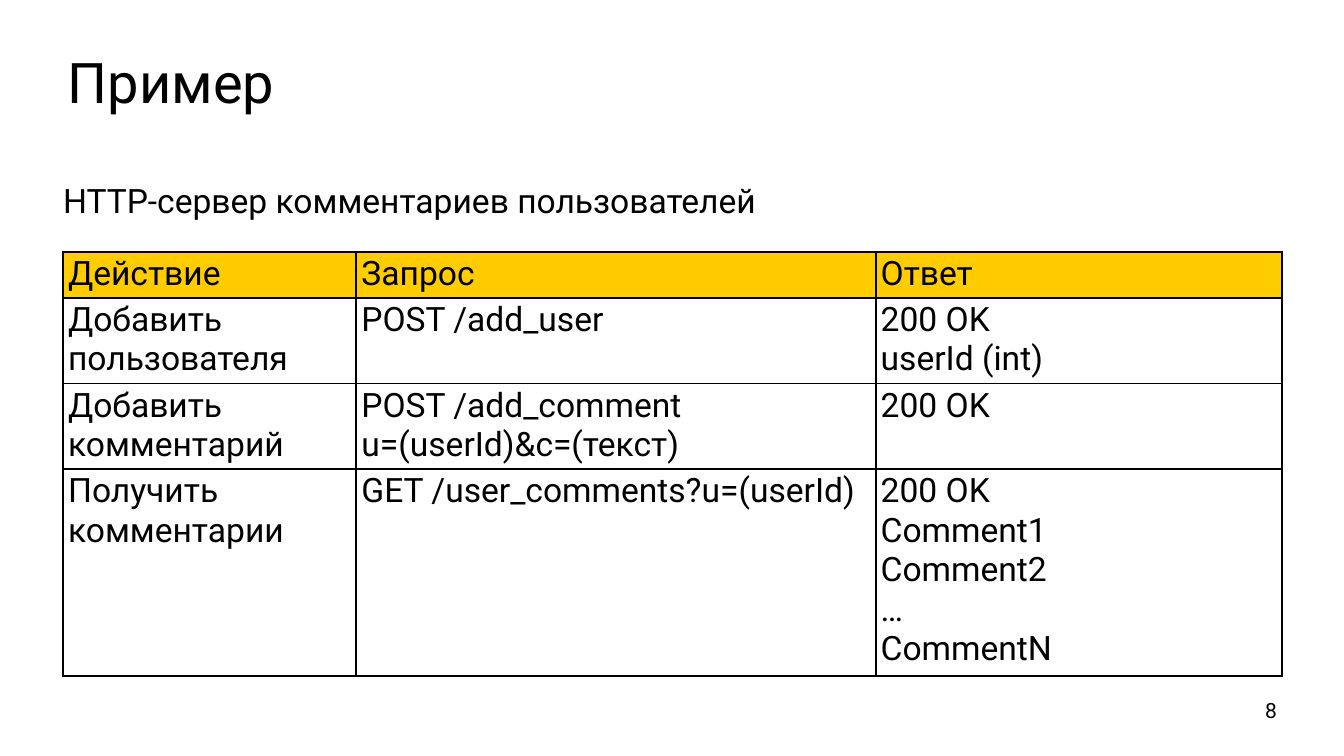
from dataclasses import dataclass

from lxml import etree
from pptx import Presentation
from pptx import util as u
from pptx.dml.color import RGBColor
from pptx.enum import text
from pptx.oxml import ns

SCALE = 9144  # EMU in one px, 100 px to the inch
FONT = "Roboto"
HEX = {"ink": "000000", "head": "FFCC00", "cell": "FFFFFF"}


@dataclass
class Label:
    words: str
    box: tuple[int, int, int, int]
    size: int
    pitch: int | None = None
    gap: int = 0
    left: int = 10
    anchor: text.MSO_ANCHOR = text.MSO_ANCHOR.TOP
    align: text.PP_ALIGN = text.PP_ALIGN.LEFT


LABELS = [
    Label("Пример", (125, 83, 2420, 165), 80, pitch=100),
    Label("HTTP-сервер комментариев пользователей", (125, 333, 1959, 124), 48,
          pitch=60, gap=30, left=0, anchor=text.MSO_ANCHOR.MIDDLE),
    Label("8", (2418, 1388, 125, 42), 30,
          anchor=text.MSO_ANCHOR.MIDDLE, align=text.PP_ALIGN.RIGHT),
]

# Each cell is a list of paragraphs
COLS = [582, 1030, 806]
ROWS = [91, 170, 170, 404]
CELLS = [
    [["Действие"], ["Запрос"], ["Ответ"]],
    [["Добавить пользователя"], ["POST /add_user"],
     ["200 OK", "userId (int)"]],
    [["Добавить комментарий"],
     ["POST /add_comment", "u=(userId)&c=(текст)"], ["200 OK"]],
    [["Получить комментарии"], ["GET /user_comments?u=(userId)"],
     ["200 OK", "Comment1", "Comment2", "…", "CommentN"]],
]


def px(n: int) -> u.Emu:
    return u.Emu(n * SCALE)


def color(name: str) -> RGBColor:
    return RGBColor.from_string(HEX[name])


def add_run(para, words: str, size: int) -> None:
    run = para.add_run()
    run.text = words
    run.font.name = FONT
    run.font.size = u.Pt(size)
    run.font.bold = False
    run.font.color.rgb = color("ink")


def add_label(slide, label: Label) -> None:
    frame = slide.shapes.add_textbox(*map(px, label.box)).text_frame
    frame.word_wrap = True
    frame.vertical_anchor = label.anchor
    frame.margin_left = px(label.left)
    para = frame.paragraphs[0]
    para.alignment = label.align
    para.space_before = para.space_after = u.Pt(label.gap)
    if label.pitch:
        para.line_spacing = u.Pt(label.pitch)
    add_run(para, label.words, label.size)


def add_edges(cell) -> None:
    props = cell._tc.get_or_add_tcPr()
    for side in ("lnL", "lnR", "lnT", "lnB"):
        line = etree.SubElement(props, ns.qn(f"a:{side}"), w=str(u.Pt(3)))
        fill = etree.SubElement(line, ns.qn("a:solidFill"))
        etree.SubElement(fill, ns.qn("a:srgbClr"), val=HEX["ink"])


def fill_cell(cell, lines: list[str], back: str) -> None:
    add_edges(cell)
    cell.fill.solid()
    cell.fill.fore_color.rgb = color(back)
    frame = cell.text_frame
    for i, words in enumerate(lines):
        para = frame.add_paragraph() if i else frame.paragraphs[0]
        add_run(para, words, 48)


def add_grid(slide) -> None:
    box = (125, 500, sum(COLS), sum(ROWS))
    grid = slide.shapes.add_table(len(ROWS), len(COLS), *map(px, box)).table
    grid.first_row = grid.horz_banding = False
    for col, width in zip(grid.columns, COLS):
        col.width = px(width)
    for r, (row, height) in enumerate(zip(grid.rows, ROWS)):
        row.height = px(height)
        for cell, lines in zip(row.cells, CELLS[r]):
            fill_cell(cell, lines, "cell" if r else "head")


def main() -> None:
    deck = Presentation()
    deck.slide_width, deck.slide_height = px(2666), px(1500)
    slide = deck.slides.add_slide(deck.slide_layouts[6])

    # Title, subtitle and page number
    for label in LABELS:
        add_label(slide, label)

    # Table of requests
    add_grid(slide)
    deck.save("out.pptx")


if __name__ == "__main__":
    main()
